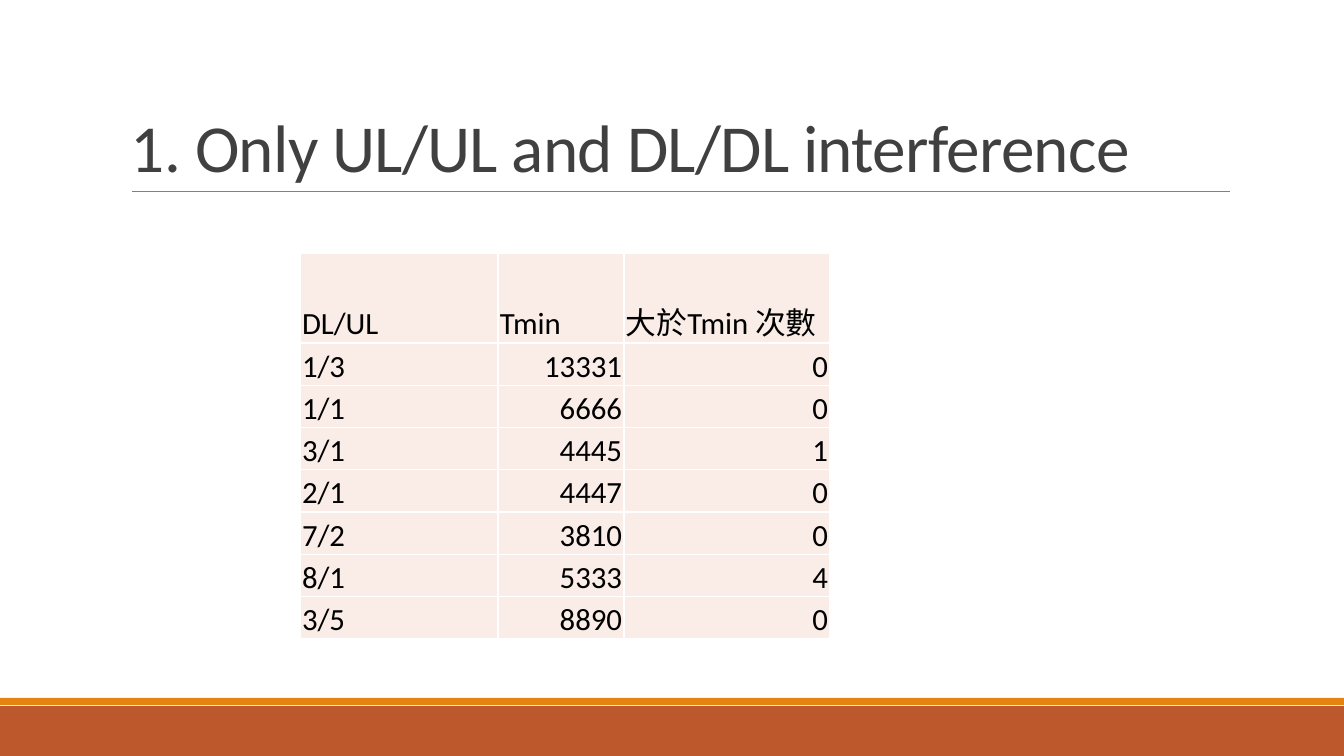
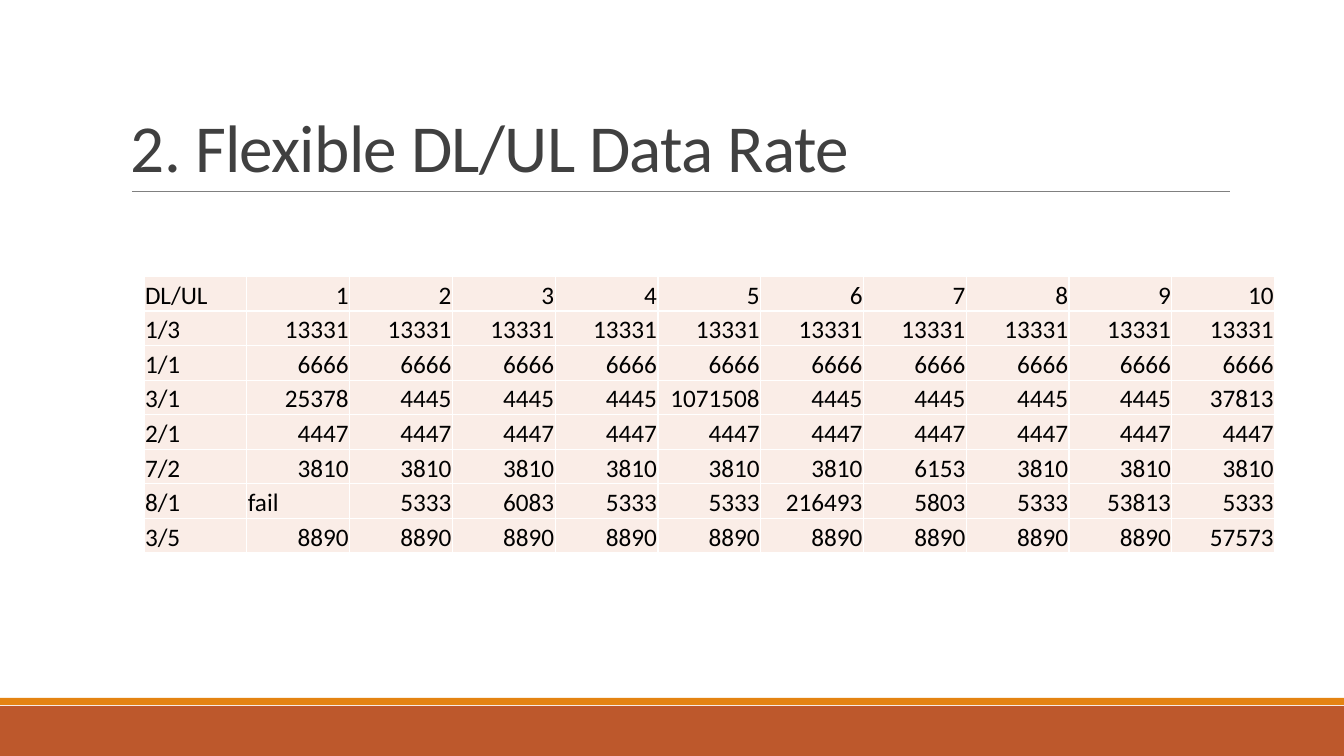
"""Build two slides of DL/UL interference results, each a title over a table."""
from dataclasses import dataclass

from lxml import etree
from pptx import Presentation
from pptx.dml.color import RGBColor
from pptx.enum.shapes import MSO_CONNECTOR, MSO_SHAPE
from pptx.enum.text import MSO_ANCHOR, PP_ALIGN
from pptx.oxml import parse_xml
from pptx.oxml.ns import nsdecls, qn
from pptx.util import Pt

RECT = MSO_SHAPE.RECTANGLE
STRAIGHT = MSO_CONNECTOR.STRAIGHT
BOTTOM = MSO_ANCHOR.BOTTOM
LEFT, RIGHT = PP_ALIGN.LEFT, PP_ALIGN.RIGHT

SLIDES = [
    dict(
        title="1. Only UL/UL and DL/DL interference",
        left=300, top=253, height=386, header=90,
        widths=[198, 126, 206], size=22, inset=2,
        rows=[
            ("DL/UL", "Tmin", "大於Tmin 次數"),
            ("1/3", 13331, 0),
            ("1/1", 6666, 0),
            ("3/1", 4445, 1),
            ("2/1", 4447, 0),
            ("7/2", 3810, 0),
            ("8/1", 5333, 4),
            ("3/5", 8890, 0),
        ],
    ),
    dict(
        title="2. Flexible DL/UL Data Rate",
        left=144, top=276, height=277, header=35,
        widths=[1131 / 11] * 11, size=18, inset=1,
        rows=[
            ("DL/UL", *range(1, 11)),
            ("1/3", *[13331] * 10),
            ("1/1", *[6666] * 10),
            ("3/1", 25378, 4445, 4445, 4445, 1071508, 4445, 4445, 4445, 4445, 37813),
            ("2/1", *[4447] * 10),
            ("7/2", *[3810] * 6, 6153, *[3810] * 3),
            ("8/1", "fail", 5333, 6083, 5333, 5333, 216493, 5803, 5333, 53813, 5333),
            ("3/5", *[8890] * 9, 57573),
        ],
    ),
]


@dataclass(frozen=True)
class Theme:
    font: str = "Calibri"
    title: str = "404040"
    text: str = "000000"
    rule: str = "808080"
    cell: str = "FAEDE7"
    border: str = "FFFFFF"
    band: str = "BD582C"
    stripe: str = "E48312"
    title_size: int = 48


T = Theme()
W, H = 1344, 756
BANDS = [(706, 50, T.band), (698, 7, T.stripe)]
TITLE_BOX = (121, 31, 1109, 160)
RULE = (132, 191, 1230, 191)


def px(n):
    return round(n * 914400 / 100.8)


def rgb(value):
    return RGBColor.from_string(value)


def write(tf, text, size, color, align=LEFT, line_spacing=None, tracking=None):
    tf.word_wrap = True
    p = tf.paragraphs[0]
    p.alignment = align
    p.line_spacing = line_spacing
    r = p.add_run()
    r.text = text
    r.font.name = T.font
    r.font.size = Pt(size)
    r.font.color.rgb = rgb(color)
    if tracking is not None:
        r.font._element.set("spc", str(round(tracking * 100)))


def add_frame(s, title):
    for top, height, color in BANDS:
        sp = s.shapes.add_shape(RECT, 0, px(top), px(W), px(height))
        sp.shadow.inherit = False
        sp.fill.solid()
        sp.fill.fore_color.rgb = rgb(color)
        sp.line.fill.background()
    rule = s.shapes.add_connector(STRAIGHT, *map(px, RULE))
    rule.line.color.rgb = rgb(T.rule)
    rule.line.width = Pt(0.5)
    etree.SubElement(rule._element.spPr, qn("a:effectLst"))
    tf = s.shapes.add_textbox(*map(px, TITLE_BOX)).text_frame
    tf.vertical_anchor = BOTTOM
    write(tf, title, T.title_size, T.title, line_spacing=0.85, tracking=-0.5)


def add_borders(cell):
    tc_pr = cell._tc.get_or_add_tcPr()
    for i, side in enumerate("LRTB"):
        tc_pr.insert(i, parse_xml(
            f'<a:ln{side} {nsdecls("a")} w="{Pt(1)}"><a:solidFill>'
            f'<a:srgbClr val="{T.border}"/></a:solidFill></a:ln{side}>'))


def add_grid(s, rows, left, top, height, header, widths, size, inset):
    frame = s.shapes.add_table(len(rows), len(widths), px(left), px(top),
                               px(sum(widths)), px(height))
    table = frame.table
    table.first_row = table.horz_banding = False
    for column, width in zip(table.columns, widths):
        column.width = px(width)
    body = len(rows) - 1
    heights = [header] + [(height - header) / body] * body
    for row, row_height, values in zip(table.rows, heights, rows):
        row.height = px(row_height)
        for cell, value in zip(row.cells, values):
            cell.margin_left = cell.margin_right = cell.margin_top = px(inset)
            cell.margin_bottom = 0
            cell.vertical_anchor = BOTTOM
            cell.fill.solid()
            cell.fill.fore_color.rgb = rgb(T.cell)
            add_borders(cell)
            write(cell.text_frame, str(value), size, T.text,
                  align=RIGHT if isinstance(value, int) else LEFT)


prs = Presentation()
prs.slide_width, prs.slide_height = px(W), px(H)
for content in SLIDES:
    s = prs.slides.add_slide(prs.slide_layouts[6])
    grid = dict(content)
    add_frame(s, grid.pop("title"))
    add_grid(s, **grid)
prs.save("out.pptx")
